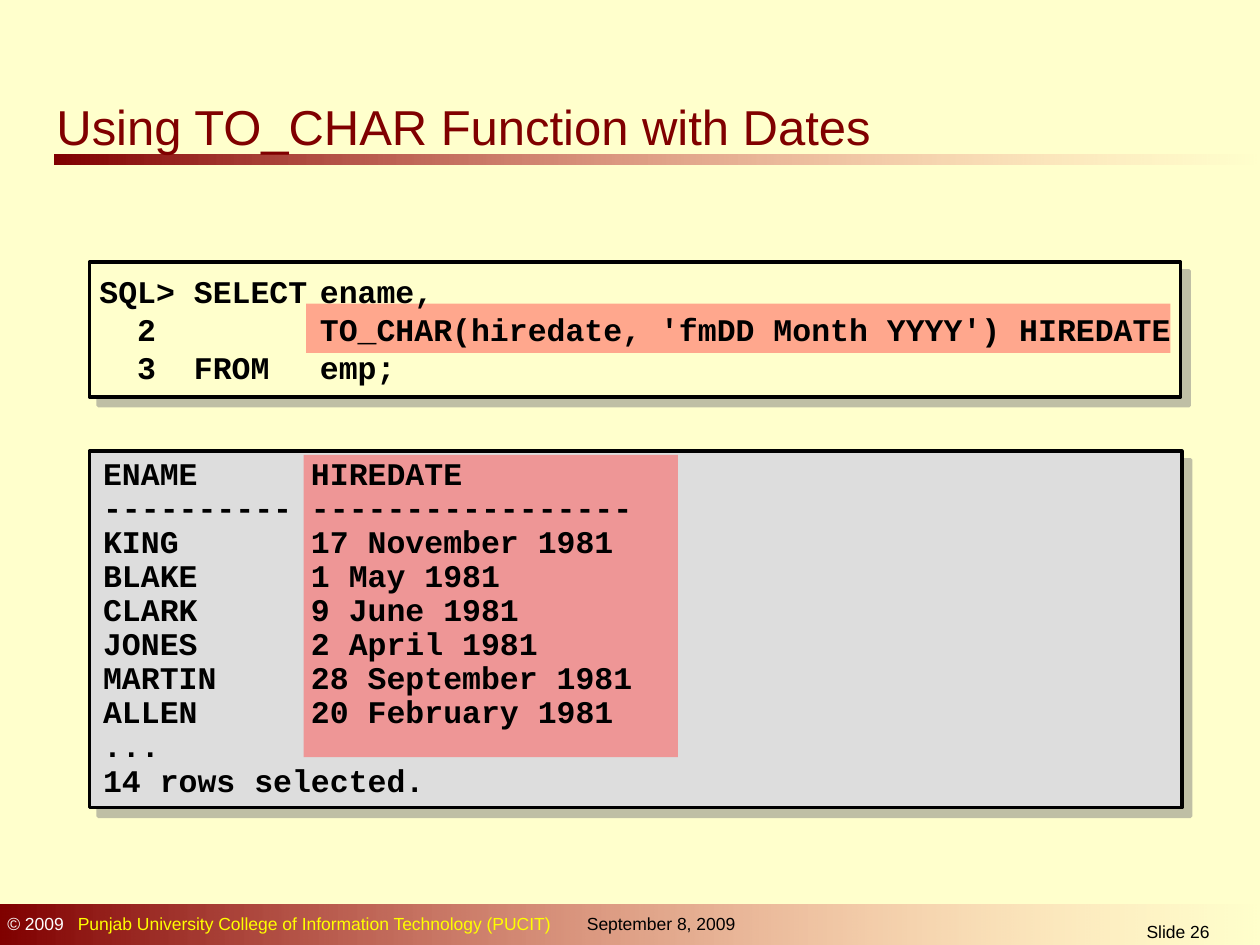
"""Builds the slide on TO_CHAR with dates: a query panel above its result panel."""
from dataclasses import dataclass
from typing import Optional

from lxml.etree import SubElement
from pptx import Presentation
from pptx.dml.color import RGBColor as Color
from pptx.enum.shapes import MSO_SHAPE as Preset
from pptx.enum.text import MSO_ANCHOR as Anchor, PP_ALIGN as Align
from pptx.oxml.ns import qn
from pptx.util import Inches, Pt

COLUMNS, ROWS, CELL = 100, 75, Inches(0.1)


@dataclass(frozen=True)
class Theme:
    """Colours, fonts and type sizes of the slide."""
    paper: str = "FFFFCC"
    maroon: str = "800000"
    rose: str = "FF8585"
    highlight: str = "FF5050"
    result: str = "DDDDDD"
    shadow: str = "808080"
    ink: str = "000000"
    white: str = "FFFFFF"
    yellow: str = "FFFF00"
    sans: str = "Arial"
    mono: str = "Courier New"
    title_size: int = 28
    code_size: int = 18
    footer_size: int = 10
    border: int = 2


@dataclass(frozen=True)
class Area:
    """A rectangle in grid columns and rows."""
    left: float
    top: float
    width: float
    height: float

    def lengths(self) -> list[int]:
        """Return the rectangle as slide lengths."""
        return [round(value * CELL) for value in (self.left, self.top, self.width, self.height)]


@dataclass(frozen=True)
class Span:
    """A piece of text in one colour."""
    text: str
    color: str


@dataclass(frozen=True)
class Style:
    """The look of all text in one box; the tab stop is in grid columns."""
    font: str
    size: int
    bold: bool = False
    align: Align = Align.LEFT
    anchor: Anchor = Anchor.TOP
    spacing: float = 1.0
    tab: Optional[float] = None


@dataclass(frozen=True)
class Label:
    """A text box with its paragraphs."""
    area: Area
    style: Style
    paragraphs: list[list[Span]]


THEME = Theme()
FOOTER = Style(THEME.sans, THEME.footer_size)
BARS = [Area(4.3, 12.3, COLUMNS - 4.3, 0.8), Area(0, 71.8, COLUMNS, ROWS - 71.8)]
PANELS = [(Area(7.1, 20.8, 86.6, 10.7), THEME.paper), (Area(7.1, 35.8, 86.7, 28.3), THEME.result)]
HIGHLIGHTS = [Area(24.3, 24.1, 68.6, 3.9), Area(24.1, 36.1, 29.7, 24)]
QUERY = [
    "SQL> SELECT\tename,",
    "  2\tTO_CHAR(hiredate, 'fmDD Month YYYY') HIREDATE",
    "  3  FROM\temp;",
]
RESULT = [
    "ENAME\tHIREDATE",
    "-" * 10 + "\t" + "-" * 17,
    "KING\t17 November 1981",
    "BLAKE\t1 May 1981",
    "CLARK\t9 June 1981",
    "JONES\t2 April 1981",
    "MARTIN\t28 September 1981",
    "ALLEN\t20 February 1981",
    "...",
    "14 rows selected.",
]


def code(lines: list[str]) -> list[list[Span]]:
    """Turn lines of code into paragraphs."""
    return [[Span(line, THEME.ink)] for line in lines]


LABELS = [
    Label(Area(-0.4, 72, 50, 2.7), Style(THEME.sans, THEME.footer_size, tab=5.6), [[
        Span("© 2009", THEME.white),
        Span("\tPunjab University College of Information Technology (PUCIT)", THEME.yellow),
    ]]),
    Label(Area(45.6, 72, 15, 2.7), FOOTER, [[Span("September 8, 2009", THEME.ink)]]),
    Label(Area(87, 72.6, 13, 2.4), Style(THEME.sans, THEME.footer_size, align=Align.CENTER),
          [[Span("Slide 26", THEME.ink)]]),
    Label(Area(3.5, 7.2, 69.7, 6.6), Style(THEME.sans, THEME.title_size),
          [[Span("Using TO_CHAR Function with Dates", THEME.maroon)]]),
    Label(Area(6.9, 18.7, 87.5, 14.8),
          Style(THEME.mono, THEME.code_size, bold=True, anchor=Anchor.MIDDLE, tab=17.5),
          code(QUERY)),
    Label(Area(7.2, 35.9, 79.4, 28),
          Style(THEME.mono, THEME.code_size, bold=True, spacing=0.9, tab=16.5), code(RESULT)),
]


def add_alpha(color_element, percent: int) -> None:
    """Give a colour element an opacity."""
    SubElement(color_element, qn("a:alpha"), val=str(percent * 1000))


def add_rectangle(page, area: Area):
    """Add a rectangle without line or shadow."""
    box = page.shapes.add_shape(Preset.RECTANGLE, *area.lengths())
    box.shadow.inherit = False
    box.line.fill.background()
    return box


def add_bar(page, area: Area) -> None:
    """Add a bar that fades out to the right."""
    box = add_rectangle(page, area)
    box.fill.gradient()
    box.fill.gradient_angle = 0
    for stop, color in zip(box.fill.gradient_stops, (THEME.maroon, THEME.rose)):
        stop.color.rgb = Color.from_string(color)
    add_alpha(list(box._element.spPr.iter(qn("a:srgbClr")))[-1], 0)


def add_panel(page, area: Area, color: str) -> None:
    """Add a bordered panel with a hard shadow."""
    box = add_rectangle(page, area)
    box.fill.solid()
    box.fill.fore_color.rgb = Color.from_string(color)
    box.line.color.rgb = Color.from_string(THEME.ink)
    box.line.width = Pt(THEME.border)
    effects = box._element.spPr.find(qn("a:effectLst"))
    shadow = SubElement(effects, qn("a:outerShdw"), blurRad="0", dist=str(Pt(7.1)),
                        dir=str(45 * 60000), algn="ctr", rotWithShape="0")
    add_alpha(SubElement(shadow, qn("a:srgbClr"), val=THEME.shadow), 50)


def add_highlight(page, area: Area) -> None:
    """Add a half transparent marker."""
    box = add_rectangle(page, area)
    box.fill.solid()
    box.fill.fore_color.rgb = Color.from_string(THEME.highlight)
    add_alpha(next(box._element.spPr.iter(qn("a:srgbClr"))), 50)


def add_label(page, label: Label) -> None:
    """Add a text box run by run."""
    style = label.style
    frame = page.shapes.add_textbox(*label.area.lengths()).text_frame
    frame.word_wrap = True
    frame.vertical_anchor = style.anchor
    for index, spans in enumerate(label.paragraphs):
        para = frame.add_paragraph() if index else frame.paragraphs[0]
        para.alignment = style.align
        para.line_spacing = style.spacing
        if style.tab is not None:
            tabs = SubElement(para._p.get_or_add_pPr(), qn("a:tabLst"))
            SubElement(tabs, qn("a:tab"), pos=str(round(style.tab * CELL)), algn="l")
        for span in spans:
            run = para.add_run()
            run.text = span.text
            run.font.name = style.font
            run.font.size = Pt(style.size)
            run.font.bold = style.bold
            run.font.color.rgb = Color.from_string(span.color)


def main() -> None:
    """Draw the slide and save the deck."""
    deck = Presentation()
    deck.slide_width, deck.slide_height = COLUMNS * CELL, ROWS * CELL
    page = deck.slides.add_slide(deck.slide_layouts[6])
    page.background.fill.solid()
    page.background.fill.fore_color.rgb = Color.from_string(THEME.paper)
    for area in BARS:
        add_bar(page, area)
    for area, color in PANELS:
        add_panel(page, area, color)
    for area in HIGHLIGHTS:
        add_highlight(page, area)
    for label in LABELS:
        add_label(page, label)
    deck.save("out.pptx")


if __name__ == "__main__":
    main()
